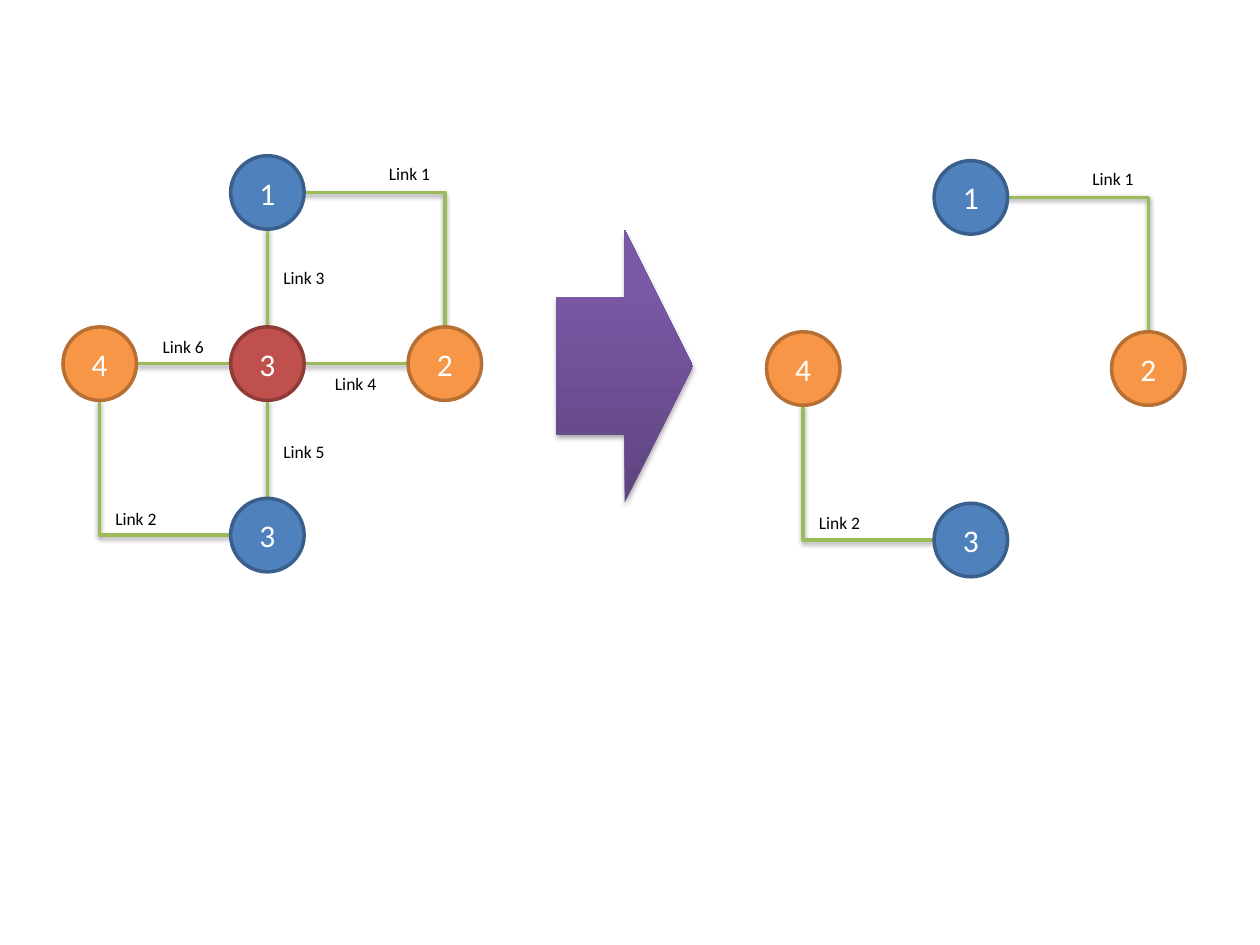
from lxml import etree
from pptx import Presentation
from pptx import util as u
from pptx.dml.color import RGBColor
from pptx.enum import shapes, text
from pptx.oxml import ns

COLORS = {
    "link": "9BBB59", "label": "000000", "digit": "FFFFFF",
    "blue": "4F81BD", "blue edge": "3A5F8C",
    "orange": "F79646", "orange edge": "B76F34",
    "red": "C0504D", "red edge": "8E3B39",
    "arrow dark": "5F4480", "arrow light": "7B58A6",
}
DIAMETER = 42
RADIUS = DIAMETER / 2
LEFT, CENTER, RIGHT = 57, 152.8, 254.2
TOP, MIDDLE, BOTTOM = 110, 207.8, 305.8


def color(name):
    return RGBColor.from_string(COLORS[name])


class Diagram:
    font = "Calibri"
    line_width = u.Pt(2)

    def __init__(self, page):
        self.page = page
        self.origin = (0, 0)

    def place(self, x, y):
        return u.Pt(x + self.origin[0]), u.Pt(y + self.origin[1])

    def shadow(self, shape, distance, opacity):
        effects = etree.SubElement(shape._element.spPr, ns.qn("a:effectLst"))
        outer = etree.SubElement(
            effects, ns.qn("a:outerShdw"), blurRad=str(u.Pt(3.1)),
            dist=str(u.Pt(distance)), dir="5400000", rotWithShape="0")
        black = etree.SubElement(outer, ns.qn("a:srgbClr"), val="000000")
        etree.SubElement(black, ns.qn("a:alpha"), val=str(opacity * 1000))

    def set_text(self, box, words, size, tone):
        para = box.text_frame.paragraphs[0]
        para.text = words
        para.font.name = self.font
        para.font.size = u.Pt(size)
        para.font.color.rgb = color(tone)
        return para

    def link(self, start, end):
        straight = start[0] == end[0] or start[1] == end[1]
        kind = shapes.MSO_CONNECTOR.STRAIGHT if straight else shapes.MSO_CONNECTOR.ELBOW
        line = self.page.shapes.add_connector(kind, *self.place(*start), *self.place(*end))
        if not straight:
            line._element.spPr.find(ns.qn("a:prstGeom")).set("prst", "bentConnector2")
        line.line.color.rgb = color("link")
        line.line.width = self.line_width
        self.shadow(line, 1.6, 38)

    def node(self, digit, x, y, tone):
        circle = self.page.shapes.add_shape(
            shapes.MSO_SHAPE.OVAL, *self.place(x - RADIUS, y - RADIUS),
            u.Pt(DIAMETER), u.Pt(DIAMETER))
        circle.shadow.inherit = False
        circle.fill.solid()
        circle.fill.fore_color.rgb = color(tone)
        circle.line.color.rgb = color(tone + " edge")
        circle.line.width = self.line_width
        circle.text_frame.vertical_anchor = text.MSO_ANCHOR.MIDDLE
        para = self.set_text(circle, digit, 18, "digit")
        para.alignment = text.PP_ALIGN.CENTER

    def label(self, words, x, y):
        box = self.page.shapes.add_textbox(*self.place(x, y), u.Pt(38.3), u.Pt(19.4))
        box.text_frame.word_wrap = False
        box.text_frame.auto_size = text.MSO_AUTO_SIZE.SHAPE_TO_FIT_TEXT
        self.set_text(box, words, 10, "label")

    def arrow(self, x, y, width, height):
        arrow = self.page.shapes.add_shape(
            shapes.MSO_SHAPE.RIGHT_ARROW, *self.place(x, y), u.Pt(width), u.Pt(height))
        arrow.line.fill.background()
        arrow.fill.gradient()
        arrow.fill.gradient_angle = 90
        stops = zip(arrow.fill.gradient_stops, (0, 0.8), ("arrow dark", "arrow light"))
        for stop, position, tone in stops:
            stop.position = position
            stop.color.rgb = color(tone)
        self.shadow(arrow, 1.8, 35)

    def network(self, origin, links, nodes, labels):
        self.origin = origin
        for start, end in links:
            self.link(start, end)
        for node in nodes:
            self.node(*node)
        for label in labels:
            self.label(*label)
        self.origin = (0, 0)


outer_links = [
    ((CENTER + RADIUS, TOP), (RIGHT, MIDDLE - RADIUS)),
    ((CENTER - RADIUS, BOTTOM), (LEFT, MIDDLE + RADIUS)),
]
spokes = [
    ((CENTER, TOP + RADIUS), (CENTER, MIDDLE - RADIUS)),
    ((CENTER, MIDDLE + RADIUS), (CENTER, BOTTOM - RADIUS)),
    ((CENTER + RADIUS, MIDDLE), (RIGHT - RADIUS, MIDDLE)),
    ((LEFT + RADIUS, MIDDLE), (CENTER - RADIUS, MIDDLE)),
]
outer_nodes = [
    ("1", CENTER, TOP, "blue"),
    ("4", LEFT, MIDDLE, "orange"),
    ("3", CENTER, BOTTOM, "blue"),
    ("2", RIGHT, MIDDLE, "orange"),
]
hub = ("3", CENTER, MIDDLE, "red")
outer_labels = [("Link 1", 215.1, 89.4), ("Link 2", 58.8, 286.5)]
spoke_labels = [
    ("Link 3", 154.8, 149.2),
    ("Link 4", 184.3, 209.7),
    ("Link 5", 154.8, 248.5),
    ("Link 6", 85.8, 188.7),
]

deck = Presentation()
deck.slide_width, deck.slide_height = u.Pt(720), u.Pt(540)
diagram = Diagram(deck.slides.add_slide(deck.slide_layouts[6]))
diagram.network((0, 0), spokes + outer_links, outer_nodes + [hub],
                outer_labels + spoke_labels)
diagram.network((402, 2.8), outer_links, outer_nodes, outer_labels)
diagram.arrow(318, 131.2, 78, 156)
deck.save("out.pptx")
